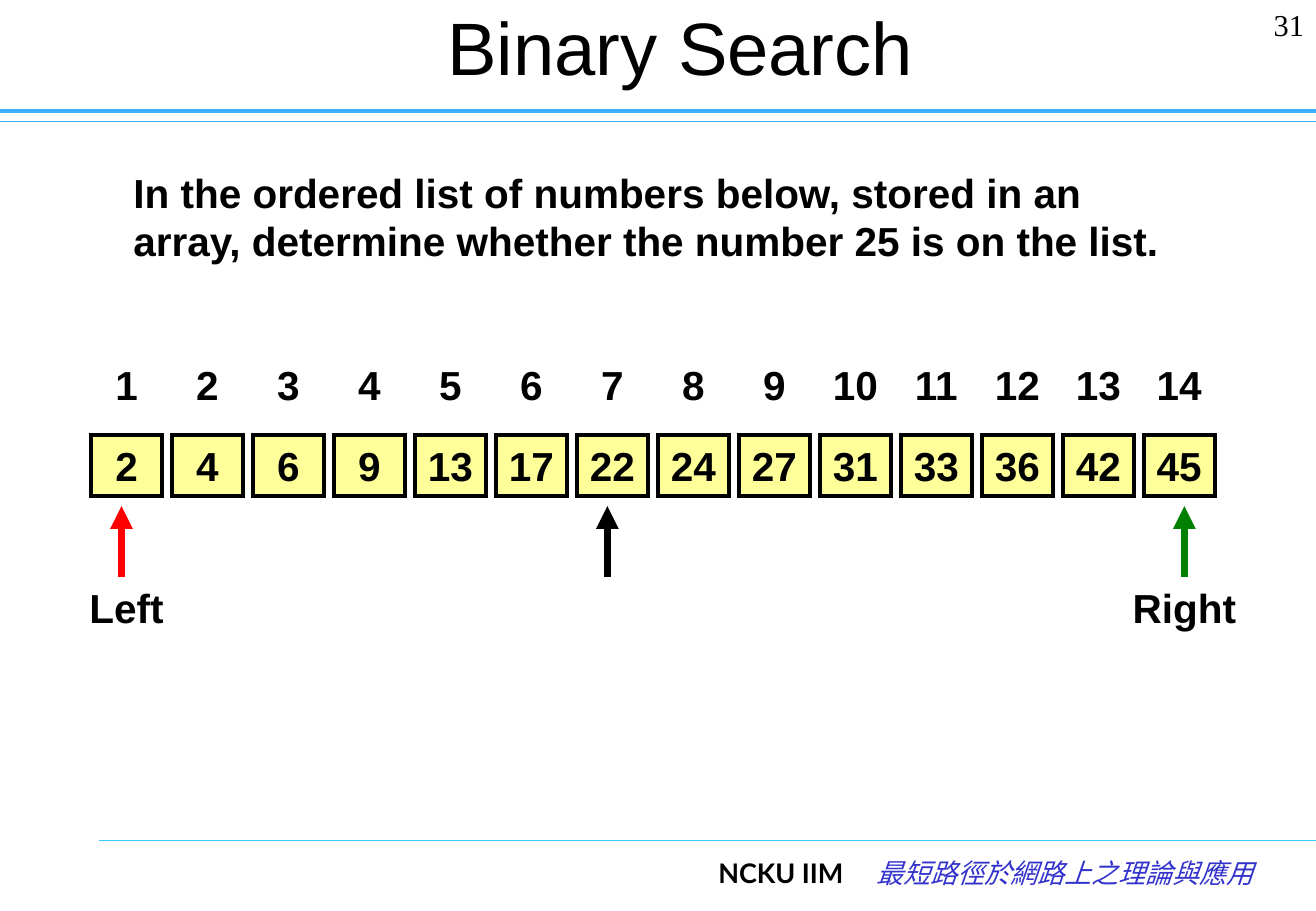
from lxml.etree import SubElement
from pptx import Presentation
from pptx.dml.color import RGBColor
from pptx.enum.shapes import MSO_CONNECTOR, MSO_SHAPE
from pptx.enum.text import MSO_ANCHOR, PP_ALIGN
from pptx.oxml.ns import qn
from pptx.util import Inches, Pt

COLUMNS, ROWS = 130, 90
UNIT = Inches(1) // 12
BLACK = RGBColor(0, 0, 0)
WHITE = RGBColor(255, 255, 255)
YELLOW = RGBColor(0xFF, 0xFF, 0x99)
RED = RGBColor(255, 0, 0)
GREEN = RGBColor(0, 0x80, 0)
INDIGO = RGBColor(0x33, 0x33, 0xCC)
SKY = RGBColor(0x3D, 0xB0, 0xFF)
CYAN = RGBColor(0x33, 0xCC, 0xFF)

NUMBERS = [2, 4, 6, 9, 13, 17, 22, 24, 27, 31, 33, 36, 42, 45]
QUESTION = ("In the ordered list of numbers below, stored in an array, "
            "determine whether the number 25 is on the list.")


def grid(*cells):
    return [round(cell * UNIT) for cell in cells]


def write(shape, text, size=24, font="Arial", color=BLACK, bold=False, italic=False,
          align=PP_ALIGN.CENTER, anchor=MSO_ANCHOR.MIDDLE, wrap=False):
    frame = shape.text_frame
    frame.text = text
    frame.word_wrap = wrap
    frame.vertical_anchor = anchor
    if not wrap:
        frame.margin_left = frame.margin_right = 0
    paragraph = frame.paragraphs[0]
    paragraph.alignment = align
    run_font = paragraph.runs[0].font
    run_font.name, run_font.size = font, Pt(size)
    run_font.bold, run_font.italic = bold, italic
    run_font.color.rgb = color


def add_label(slide, box, text, **style):
    write(slide.shapes.add_textbox(*grid(*box)), text, **style)


def add_line(slide, start, end, color, width, arrow=False):
    line = slide.shapes.add_connector(MSO_CONNECTOR.STRAIGHT, *grid(*start, *end))
    line.line.color.rgb = color
    line.line.width = Pt(width)
    properties = line._element.spPr
    if arrow:
        SubElement(properties.find(qn("a:ln")), qn("a:tailEnd"), type="triangle")
    SubElement(properties, qn("a:effectLst"))


def add_header(slide, box, title, number):
    left, top, width, height = box
    right, bottom = left + width, top + height
    add_line(slide, (left, bottom), (right, bottom), SKY, 0.75)
    add_line(slide, (left, bottom - 1), (right, bottom - 1), SKY, 2.5)
    add_label(slide, (right - 11, top, 11, 6), number, size=18, font="Times New Roman",
              align=PP_ALIGN.RIGHT, anchor=MSO_ANCHOR.TOP, wrap=True)
    add_label(slide, (left + 17.25, top, 102, 9), title, size=44, wrap=True)


def add_footer(slide, box, school, course):
    left, top, width, height = box
    right = left + width
    add_line(slide, (left, top), (right, top), CYAN, 0.75)
    style = dict(size=16, align=PP_ALIGN.RIGHT, anchor=MSO_ANCHOR.TOP, wrap=True)
    add_label(slide, (right - 65, top + 1, 19.5, height - 1), school,
              font="Lato", bold=True, **style)
    add_label(slide, (right - 45, top + 1, 40, height - 1), course,
              font="Noto Sans Mono", color=INDIGO, italic=True, **style)


def add_cell(slide, box, text, fill, border=None):
    cell = slide.shapes.add_shape(MSO_SHAPE.RECTANGLE, *grid(*box))
    cell.shadow.inherit = False
    cell.fill.solid()
    cell.fill.fore_color.rgb = fill
    if border is None:
        cell.line.fill.background()
    else:
        cell.line.color.rgb = border
        cell.line.width = Pt(2.25)
        SubElement(cell._element.spPr.find(qn("a:ln")), qn("a:miter"), lim="800000")
    write(cell, text, bold=True)


def add_array(slide, box, numbers):
    left, top, width, height = box
    pitch = (width + 1) / len(numbers)
    for index, number in enumerate(numbers):
        x = left + index * pitch
        add_cell(slide, (x, top, pitch - 1, 6), str(index + 1), WHITE)
        add_cell(slide, (x, top + height - 6, pitch - 1, 6), str(number), YELLOW, BLACK)


def add_pointer(slide, box, color, label=None, shift=0):
    left, top, width, height = box
    middle = left + width / 2
    add_line(slide, (middle, top + 7), (middle, top), color, 4.5, arrow=True)
    if label:
        add_label(slide, (left + shift, top + 8, width, height - 8), label, bold=True)


def main():
    presentation = Presentation()
    presentation.slide_width, presentation.slide_height = grid(COLUMNS, ROWS)
    slide = presentation.slides.add_slide(presentation.slide_layouts[6])
    add_footer(slide, (9.75, 83, COLUMNS - 9.75, 7), "NCKU IIM",
               "最短路徑於網路上之理論與應用")
    add_header(slide, (0, 0, COLUMNS, 12), "Binary Search ", "31")
    add_label(slide, (12, 16, 106, 11), QUESTION, bold=True,
              align=PP_ALIGN.LEFT, anchor=MSO_ANCHOR.TOP, wrap=True)
    add_array(slide, (9, 35, 111, 14), NUMBERS)
    add_pointer(slide, (55, 50, 10, 12), BLACK)
    add_pointer(slide, (7, 50, 10, 12), RED, "Left", 0.5)
    add_pointer(slide, (111, 50, 12, 12), GREEN, "Right")
    presentation.save("out.pptx")


if __name__ == "__main__":
    main()
